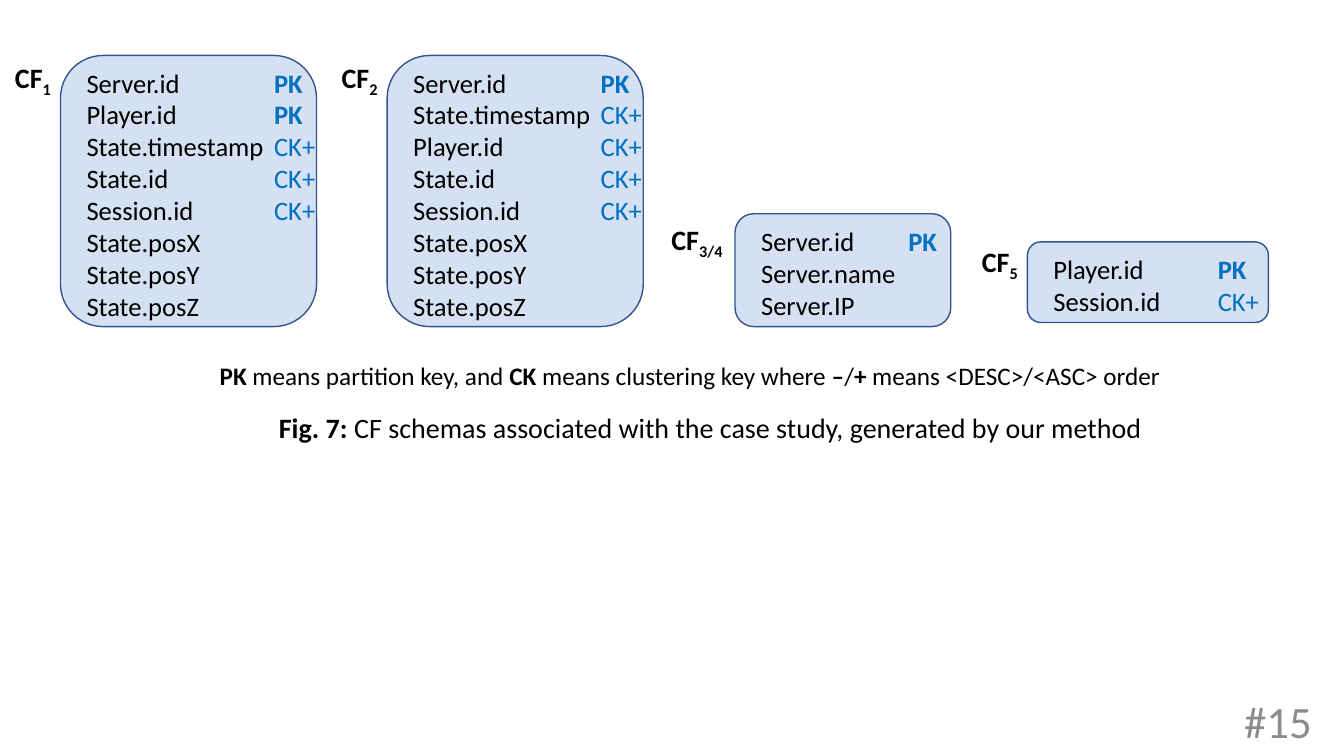
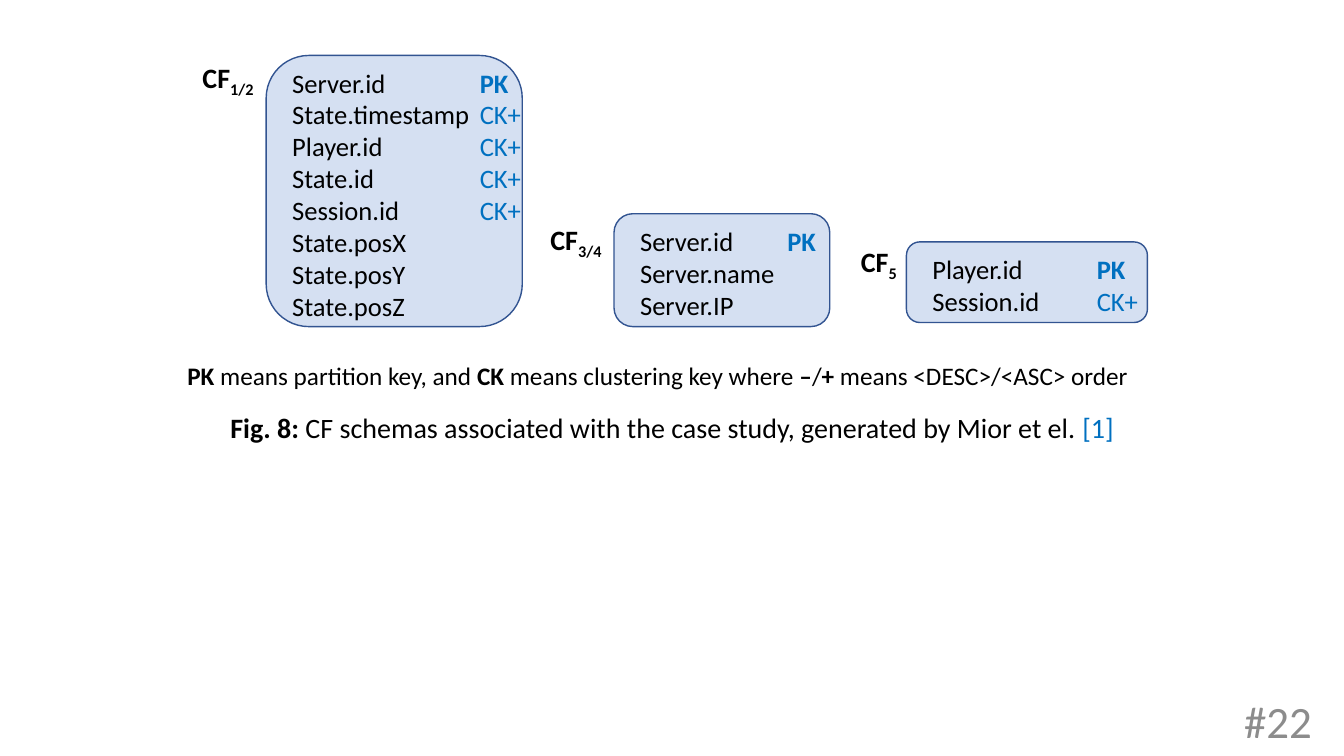
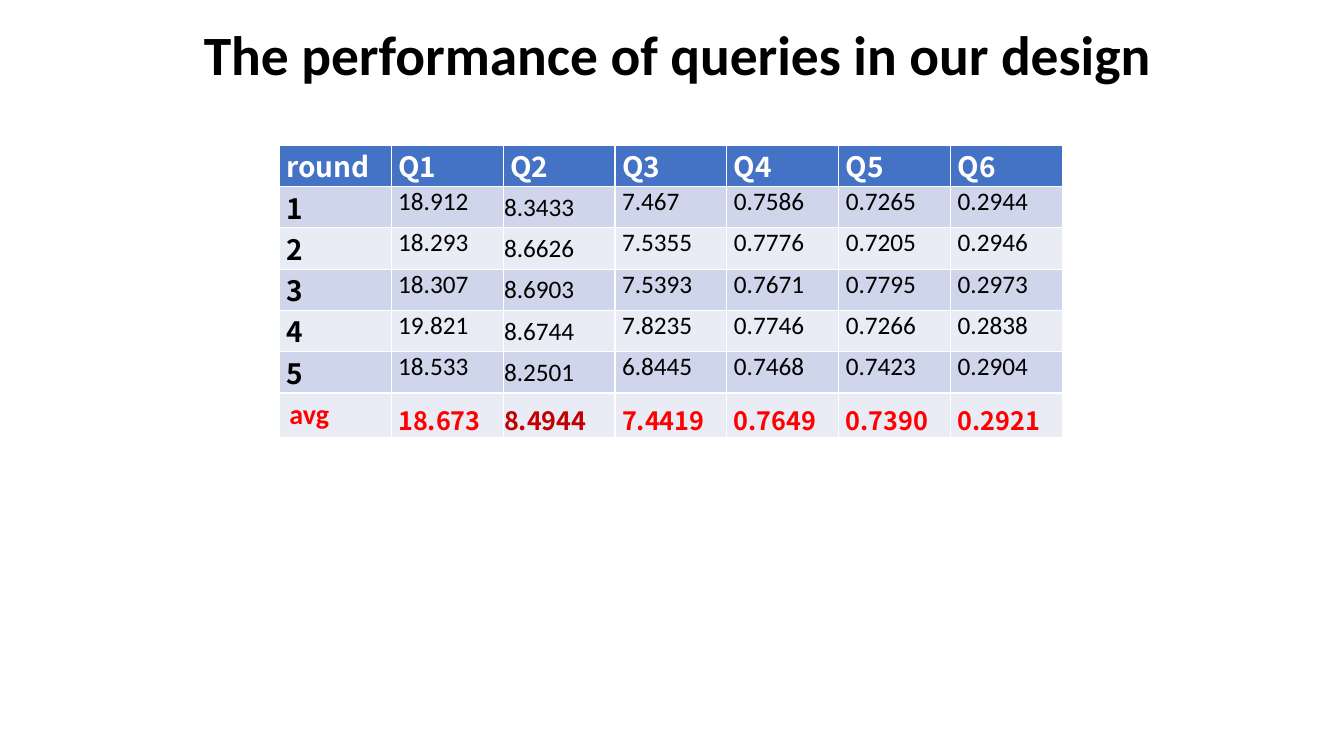
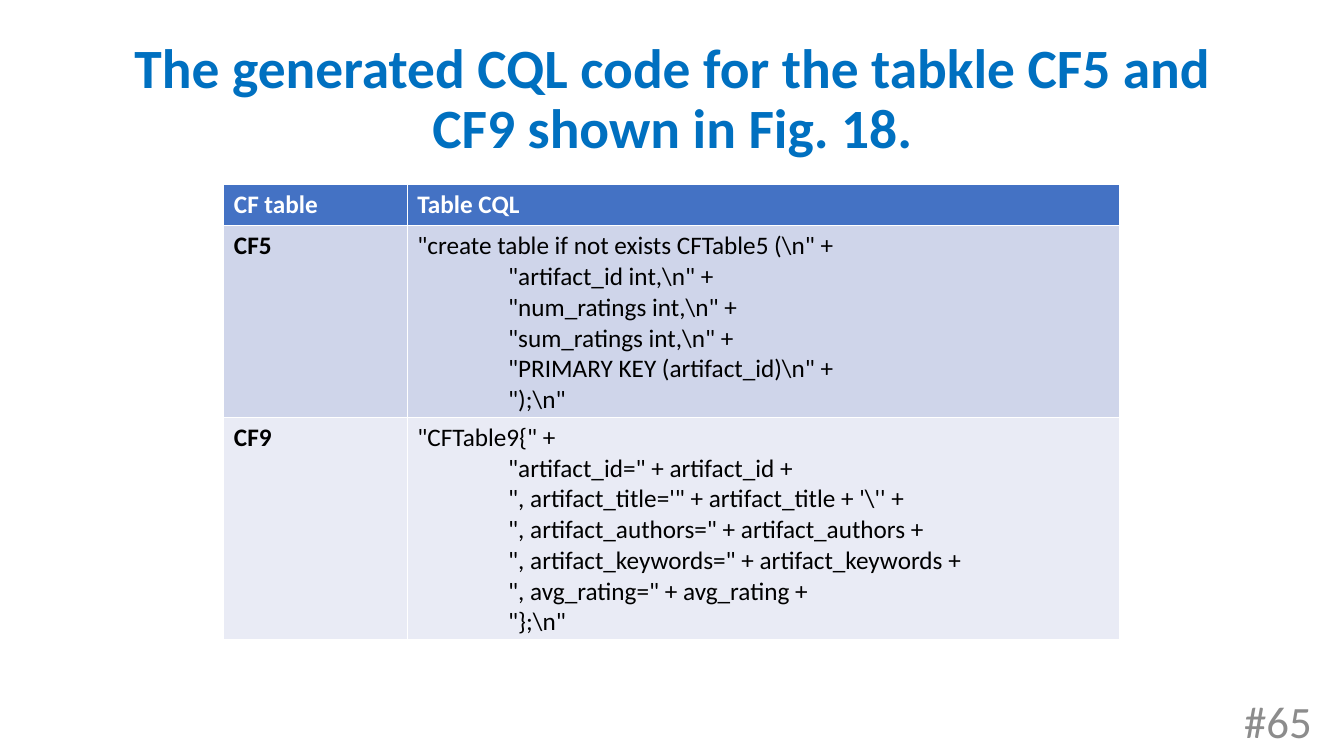
from dataclasses import dataclass

from lxml.etree import SubElement
from pptx import Presentation
from pptx.dml.color import RGBColor
from pptx.enum.shapes import MSO_SHAPE as Preset
from pptx.enum.text import MSO_ANCHOR as Anchor, MSO_AUTO_SIZE as AutoSize, PP_ALIGN as Align
from pptx.oxml.ns import qn
from pptx.util import Inches, Pt

WIDTH, HEIGHT = 13.33, 7.5
TITLE_ONLY = 5


@dataclass(frozen=True)
class Theme:
    font: str = "Calibri"
    table_font: str = "Noto Sans CJK SC"
    ink: str = "000000"
    white: str = "FFFFFF"
    key: str = "0070C0"
    accent: str = "4472C4"
    outline: str = "325491"
    bands: tuple = ("CFD5EA", "E9EBF5")
    average: str = "FF0000"
    average_dark: str = "C00000"
    muted: str = "8C8C8C"
    title: float = 39.6
    number: float = 32
    label: float = 20
    field: float = 19
    body: float = 18


THEME = Theme()


@dataclass(frozen=True)
class Look:
    """How one run of text is set."""
    size: float
    bold: bool = False
    color: str = THEME.ink
    font: str = THEME.font
    baseline: int = 0


@dataclass(frozen=True)
class Schema:
    """A column family: its card, and its fields with their keys."""
    label: str
    left: float
    top: float
    width: float
    height: float
    fields: tuple
    keys: tuple
    label_drop: float = 0
    key_inset: float = 0.52


LABEL = Look(THEME.label, bold=True)
SUBSCRIPT = Look(THEME.label, bold=True, baseline=-25000)
CAPTION = Look(THEME.label)
FIELD = Look(THEME.field)
KEY = Look(THEME.field, color=THEME.key)
PARTITION_KEY = Look(THEME.field, bold=True, color=THEME.key)
BODY = Look(THEME.body)
STRONG = Look(THEME.body, bold=True)

POSITIONS = ("State.posX", "State.posY", "State.posZ")
STATE_BY_PLAYER = ("Server.id", "Player.id", "State.timestamp", "State.id", "Session.id") + POSITIONS
STATE_BY_TIME = ("Server.id", "State.timestamp", "Player.id", "State.id", "Session.id") + POSITIONS
STATE_CARD = (0.55, 2.54, 2.69)
SERVER = Schema("3/4", 7.29, 2.12, 2.14, 1.12, ("Server.id", "Server.name", "Server.IP"),
                ("PK",), label_drop=0.04)
SESSION = Schema("5", 10.19, 2.4, 2.39, 0.8, ("Player.id", "Session.id"),
                 ("PK", "CK+"), label_drop=-0.02, key_inset=0.6)
OUR_SCHEMAS = (
    Schema("1", 0.6, *STATE_CARD, STATE_BY_PLAYER, ("PK",) * 2 + ("CK+",) * 3),
    Schema("2", 3.84, *STATE_CARD, STATE_BY_TIME, ("PK",) + ("CK+",) * 4),
    SERVER, SESSION,
)
OTHER_SCHEMAS = (
    Schema("1/2", 3.84, *STATE_CARD, STATE_BY_TIME, ("PK",) + ("CK+",) * 4),
    SERVER, SESSION,
)

QUERIES = ("round", "Q1", "Q2", "Q3", "Q4", "Q5", "Q6")
ROUNDS = (
    ("1", "18.912", "8.3433", "7.467", "0.7586", "0.7265", "0.2944"),
    ("2", "18.293", "8.6626", "7.5355", "0.7776", "0.7205", "0.2946"),
    ("3", "18.307", "8.6903", "7.5393", "0.7671", "0.7795", "0.2973"),
    ("4", "19.821", "8.6744", "7.8235", "0.7746", "0.7266", "0.2838"),
    ("5", "18.533", "8.2501", "6.8445", "0.7468", "0.7423", "0.2904"),
    ("avg", "18.673", "8.4944", "7.4419", "0.7649", "0.7390", "0.2921"),
)

CODE = (
    ("CF5", (
        r'"create table if not exists CFTable5 (\n" +',
        r'"artifact_id int,\n" +',
        r'"num_ratings int,\n" +',
        r'"sum_ratings int,\n" +',
        r'"PRIMARY KEY (artifact_id)\n" +',
        r'");\n"',
    )),
    ("CF9", (
        '"CFTable9{" +',
        '"artifact_id=" + artifact_id +',
        r'''", artifact_title='" + artifact_title + '\'' +''',
        '", artifact_authors=" + artifact_authors +',
        '", artifact_keywords=" + artifact_keywords +',
        '", avg_rating=" + avg_rating +',
        r'"};\n"',
    )),
)


# Text
def inches(*lengths):
    return [Inches(length) for length in lengths]


def add_run(para, text, look):
    span = para.add_run()
    span.text = text
    font = span.font
    font.name, font.size, font.bold = look.font, Pt(look.size), look.bold
    font.color.rgb = RGBColor.from_string(look.color)
    if look.baseline:
        font._element.set("baseline", str(look.baseline))


def write(frame, lines, align=None, spacing=None):
    """Fill a text frame; each line is a list of (text, look) runs."""
    frame.word_wrap = True
    for index, line in enumerate(lines):
        para = frame.add_paragraph() if index else frame.paragraphs[0]
        if align is not None:
            para.alignment = align
        if spacing is not None:
            para.line_spacing = spacing
        for text, look in line:
            add_run(para, text, look)


def add_text(page, at, lines, align=None, anchor=Anchor.TOP):
    box = page.shapes.add_textbox(*inches(*at))
    box.text_frame.vertical_anchor = anchor
    write(box.text_frame, lines, align)


# Parts shared by the slides
def add_page(deck, title, at, number=None):
    page = deck.slides.add_slide(deck.slide_layouts[TITLE_ONLY])
    box = page.shapes.title
    box.left, box.top, box.width, box.height = inches(*at)
    frame = box.text_frame
    frame.auto_size = AutoSize.NONE
    frame.vertical_anchor = Anchor.MIDDLE
    write(frame, [title], Align.CENTER, 0.9)
    if number is not None:
        add_text(page, (10.11, 6.95, 3, 0.4),
                 [[(f"#{number}", Look(THEME.number, color=THEME.muted))]],
                 Align.RIGHT, Anchor.MIDDLE)
    return page


def add_key_note(page, left):
    add_text(page, (left, 3.53, 9.91, 0.4), [[
        ("PK", STRONG), (" means partition key, and ", BODY),
        ("CK", STRONG), (" means clustering key where ", BODY),
        ("–", STRONG), ("/", BODY), ("+", STRONG),
        (" means <DESC>/<ASC> order", BODY),
    ]])


# Schema cards
def add_schema(page, schema, shift):
    left, top, width, height = schema.left + shift, schema.top, schema.width, schema.height
    card = page.shapes.add_shape(Preset.ROUNDED_RECTANGLE, *inches(left, top, width, height))
    card.shadow.inherit = False
    card.fill.solid()
    card.fill.fore_color.rgb = RGBColor.from_string(THEME.accent)
    tint = card._element.spPr.find(qn("a:solidFill"))[0]
    SubElement(tint, qn("a:alpha")).set("val", "22000")
    card.line.color.rgb = RGBColor.from_string(THEME.outline)
    card.line.width = Pt(1)

    text_top = top + 0.06
    add_text(page, (left + 0.16, text_top, width - 0.26, height - 0.1),
             [[(name, FIELD)] for name in schema.fields])
    add_text(page, (left + width - schema.key_inset, text_top, 0.71, height - 0.1),
             [[(key, PARTITION_KEY if key == "PK" else KEY)] for key in schema.keys])
    label_gap = 0.73 if "/" in schema.label else 0.55
    add_text(page, (left - label_gap, top + schema.label_drop, label_gap + 0.22, 0.44),
             [[("CF", LABEL), (schema.label, SUBSCRIPT)]])


def add_schemas(page, schemas, shift=0):
    for schema in schemas:
        add_schema(page, schema, shift)


# Tables
def add_table(page, left, top, columns, rows):
    frame = page.shapes.add_table(len(rows), len(columns),
                                  *inches(left, top, sum(columns), sum(rows)))
    table = frame.table
    for column, width in zip(table.columns, columns):
        column.width = Inches(width)
    for row, height in zip(table.rows, rows):
        row.height = Inches(height)
    return table


def fill_cell(table, row, column, lines, anchor=Anchor.TOP, margins=None):
    cell = table.cell(row, column)
    cell.fill.solid()
    color = THEME.bands[(row - 1) % 2] if row else THEME.accent
    cell.fill.fore_color.rgb = RGBColor.from_string(color)
    cell.vertical_anchor = anchor
    if margins:
        cell.margin_left, cell.margin_top, cell.margin_right, cell.margin_bottom = inches(*margins)
    write(cell.text_frame, lines)
    return cell


def add_query_table(page):
    count = len(ROUNDS) + 1
    table = add_table(page, 2.77, 1.44, [1.11] * len(QUERIES), [0.41] * count)
    wide, narrow = (0.07, 0, 0.07, 0), (0.01, 0.01, 0.01, 0)
    heading = Look(THEME.label, True, THEME.white, THEME.table_font)
    round_look = Look(THEME.label, True, THEME.ink, THEME.table_font)
    for column, name in enumerate(QUERIES):
        fill_cell(table, 0, column, [[(name, heading)]], margins=wide)
    for row, values in enumerate(ROUNDS, 1):
        is_average = row == len(ROUNDS)
        for column, value in enumerate(values):
            is_q2 = QUERIES[column] == "Q2"
            margins = narrow if is_q2 else wide
            anchor = Anchor.MIDDLE if is_q2 else Anchor.TOP
            look = BODY if column else round_look
            if is_average and column:
                color = THEME.average_dark if is_q2 else THEME.average
                look = Look(THEME.body, True, color, THEME.table_font)
                anchor = Anchor.BOTTOM
            elif is_average:
                look, margins = Look(THEME.label, True, THEME.average), None
            fill_cell(table, row, column, [[(value, look)]], anchor, margins)


def add_code_table(page):
    table = add_table(page, 2.22, 1.83, [1.82, 7.06], [0.41, 1.9, 2.2])
    heading = Look(THEME.body, True, THEME.white)
    for column, name in enumerate(("CF table", "Table CQL")):
        fill_cell(table, 0, column, [[(name, heading)]])
    for row, (name, lines) in enumerate(CODE, 1):
        fill_cell(table, row, 0, [[(name, STRONG)]])
        cell = fill_cell(table, row, 1, [[(line, BODY)] for line in lines])
        for para in cell.text_frame.paragraphs[1:]:
            para._p.get_or_add_pPr().set("marL", str(Inches(0.9)))


def main():
    deck = Presentation()
    deck.slide_width, deck.slide_height = inches(WIDTH, HEIGHT)

    # Schemas from our method
    page = add_page(deck, [
        ("Fig. 7: ", LABEL),
        ("CF schemas associated with the case study, generated by our method", CAPTION),
    ], (2.08, 3.92, 9.93, 0.67), 15)
    add_schemas(page, OUR_SCHEMAS)
    add_key_note(page, 2.08)

    # Schemas from the earlier method
    page = add_page(deck, [
        ("Fig. 8: ", LABEL),
        ("CF schemas associated with the case study, generated by Mior et el. ", CAPTION),
        ("[1]", Look(THEME.label, color=THEME.key)),
    ], (1.7, 3.92, 9.93, 0.67), 22)
    add_schemas(page, OTHER_SCHEMAS, shift=-1.2)
    add_key_note(page, 1.76)

    # Query times
    page = add_page(deck, [
        ("The performance of queries in our design", Look(THEME.title, True)),
    ], (0.39, 0.24, 12.66, 0.67))
    add_query_table(page)

    # Generated code
    page = add_page(deck, [
        ("The generated CQL code for the tabkle CF5 and CF9 shown in Fig. 18.",
         Look(THEME.title, True, THEME.key)),
    ], (0.92, 0.66, 11.5, 0.67), 65)
    add_code_table(page)

    deck.save("out.pptx")


if __name__ == "__main__":
    main()
